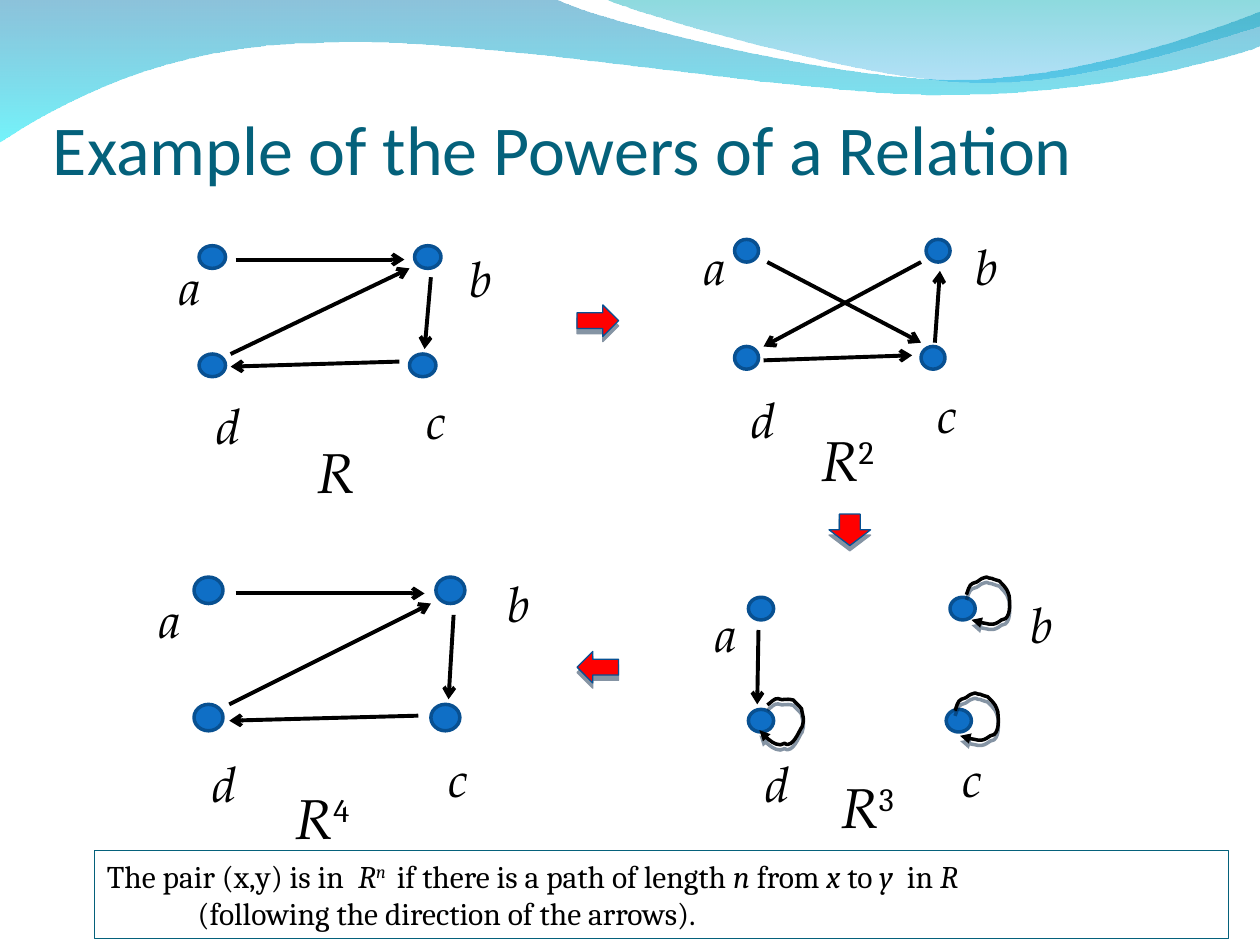
"""Build a slide showing the powers of a relation as four directed graphs."""
from lxml.etree import SubElement
from pptx import Presentation
from pptx.dml.color import RGBColor
from pptx.enum.shapes import MSO_CONNECTOR, MSO_SHAPE
from pptx.enum.text import MSO_ANCHOR
from pptx.oxml.ns import qn
from pptx.util import Pt

PX = 9144
COLORS = {
    "title": "04617B", "ink": "000000", "node": "0F6FC6", "node_edge": "085091",
    "step": "FF0000", "step_edge": "065093", "shadow": "002041",
    "wave_blue": "0079AF", "wave_cyan": "00EBF8", "wave_teal": "00ADB6", "wave_sky": "009BE5",
}
STYLES = {
    "title": ("Calibri", False, {}),
    "symbol": ("TeX Gyre Pagella", True, {}),
    "power": ("Cambria", False, {"baseline": "30000"}),
    "body": ("Cambria", False, {}),
    "gap": ("Cambria", False, {"spc": "400"}),
    "thin_gap": ("Cambria", False, {"spc": "230"}),
    "variable": ("Cambria", True, {}),
    "exponent": ("Cambria", True, {"baseline": "30000"}),
}

prs = Presentation()
prs.slide_width, prs.slide_height = 1000 * PX, 750 * PX
slide = prs.slides.add_slide(prs.slide_layouts[6])
shapes = slide.shapes


def write(lines, bounds, size=28, color="ink", anchor=MSO_ANCHOR.TOP, margins=(10, 5, 10, 5), indents=(0, 0)):
    box = shapes.add_textbox(*(length * PX for length in bounds))
    frame = box.text_frame
    frame.word_wrap = True
    frame.vertical_anchor = anchor
    frame.margin_left, frame.margin_top, frame.margin_right, frame.margin_bottom = (
        margin * PX for margin in margins)
    for number, (line, indent) in enumerate(zip(lines, indents)):
        paragraph = frame.add_paragraph() if number else frame.paragraphs[0]
        if indent:
            paragraph._p.get_or_add_pPr().set("marL", str(indent * PX))
        for text, style in line:
            run = paragraph.add_run()
            run.text = text
            font = run.font
            font.name, font.italic, extras = STYLES[style]
            font.size = Pt(size)
            font.color.rgb = RGBColor.from_string(COLORS[color])
            for key, value in extras.items():
                font._element.set(key, value)
    return box


def outline(start, segments, offset=(0, 0), closed=False):
    points = [start]
    for segment in segments:
        points.extend(zip(segment[::2], segment[1::2]))
    emu = [((x + offset[0]) * PX, (y + offset[1]) * PX) for x, y in points]
    builder = shapes.build_freeform(*emu[0])
    builder.add_line_segments(emu[1:], close=closed)
    freeform = builder.convert_to_shape()
    freeform.shadow.inherit = False
    legs = iter(list(freeform._element.iter(qn("a:lnTo"))))
    for segment in segments:
        leg = next(legs)
        if len(segment) == 6:
            leg.tag = qn("a:cubicBezTo")
            for _ in range(2):
                control = next(legs)
                leg.append(control[0])
                control.getparent().remove(control)
    return freeform


waves = [
    ((0, -1), [(440, -1), (476, 17, 664, 63, 758, 63), (853, 63, 958, 26, 1000, 9), (1001, 36),
               (983, 44, 870, 76, 746, 75), (622, 75, 382, 28, 257, 34), (129, 35, 46, 83, -1, 113)],
     [("wave_blue", 45), ("wave_cyan", 55)]),
    ((479, -1), [(509, 12, 682, 62, 769, 65), (856, 69, 961, 32, 1000, 21), (1000, 0)],
     [("wave_teal", 45), ("wave_sky", 30)]),
]
for start, segments, stops in waves:
    wave = outline(start, segments, closed=True)
    wave.line.fill.background()
    wave.fill.gradient()
    wave.fill.gradient_angle = 270
    for stop, (color, _) in zip(wave.fill.gradient_stops, stops):
        stop.color.rgb = RGBColor.from_string(COLORS[color])
    for tint, (_, opacity) in zip(wave._element.spPr.iter(qn("a:srgbClr")), stops):
        SubElement(tint, qn("a:alpha"), val=str(opacity * 1000))

write([[("Example of the Powers of a Relation", "title")]], (42, 25, 900, 125),
      size=40, color="title", anchor=MSO_ANCHOR.BOTTOM, margins=(0, 5, 0, 0))

graphs = [
    {"power": "", "caption": (242, 342, 21), "node_size": (21, 18),
     "nodes": [(158, 195), (329, 195), (325, 281), (158, 281)],
     "labels": [(133, 199), (363, 192), (329, 305), (162, 309)],
     "edges": [(187, 206, 321, 206), (183, 281, 325, 213), (342, 220, 337, 277), (317, 287, 183, 291)]},
    {"power": "2", "caption": (642, 333, 72), "node_size": (19, 18),
     "nodes": [(583, 190), (735, 190), (731, 275), (583, 275)],
     "labels": [(550, 183), (765, 183), (735, 300), (587, 304)],
     "edges": [(731, 208, 606, 275), (742, 272, 746, 215), (606, 286, 724, 282), (609, 208, 731, 272)]},
    {"power": "3", "caption": (658, 608, 82), "node_size": (20, 18),
     "nodes": [(594, 474), (754, 474), (751, 563), (594, 563)],
     "labels": [(558, 474), (808, 467), (754, 589), (598, 593)],
     "edges": [(602, 500, 601, 559)]},
    {"power": "4", "caption": (225, 617, 112), "node_size": (23, 21),
     "nodes": [(154, 458), (346, 458), (342, 559), (154, 559)],
     "labels": [(117, 463), (393, 450), (346, 589), (159, 593)],
     "edges": [(187, 471, 337, 471), (182, 559, 342, 479), (360, 488, 356, 555), (332, 568, 182, 572)]},
]
for graph in graphs:
    width, height = graph["node_size"]
    for name, (x, y), (label_x, label_y) in zip("abcd", graph["nodes"], graph["labels"]):
        node = shapes.add_shape(MSO_SHAPE.OVAL, x * PX, y * PX, width * PX, height * PX)
        node.shadow.inherit = False
        node.fill.solid()
        node.fill.fore_color.rgb = RGBColor.from_string(COLORS["node"])
        node.line.color.rgb = RGBColor.from_string(COLORS["node_edge"])
        node.line.width = Pt(2)
        write([[(name, "symbol")]], (label_x, label_y, width, 57))
    for ends in graph["edges"]:
        edge = shapes.add_connector(MSO_CONNECTOR.STRAIGHT, *(end * PX for end in ends))
        edge.line.color.rgb = RGBColor.from_string(COLORS["ink"])
        edge.line.width = Pt(2.25)
        properties = edge._element.spPr
        SubElement(properties.find(qn("a:ln")), qn("a:tailEnd"), type="arrow")
        SubElement(properties, qn("a:effectLst"))
    caption = [("R", "symbol")]
    if graph["power"]:
        caption.append((graph["power"], "power"))
    left, top, width = graph["caption"]
    write([caption], (left, top, width, 64), size=32)

shadowed = []
for direction, x, y in [(MSO_SHAPE.RIGHT_ARROW, 458, 242), (MSO_SHAPE.DOWN_ARROW, 658, 408),
                        (MSO_SHAPE.LEFT_ARROW, 458, 517)]:
    step_arrow = shapes.add_shape(direction, x * PX, y * PX, 33 * PX, 25 * PX)
    step_arrow.shadow.inherit = False
    step_arrow.fill.solid()
    step_arrow.fill.fore_color.rgb = RGBColor.from_string(COLORS["step"])
    step_arrow.line.color.rgb = RGBColor.from_string(COLORS["step_edge"])
    step_arrow.line.width = Pt(0.75)
    shadowed.append(step_arrow)

rule = write(
    [[("The pair (x,y) is in", "body"), (" ", "gap"), ("R", "variable"), ("n", "exponent"),
      (" ", "thin_gap"), ("if there is a path of length ", "body"), ("n", "variable"),
      (" from ", "body"), ("x", "variable"), (" to ", "body"), ("y", "variable"),
      (" ", "gap"), ("in ", "body"), ("R", "variable")],
     [("(following the direction of the arrows).", "body")]],
    (75, 675, 900, 70), size=18, indents=(0, 72))
rule.line.color.rgb = RGBColor.from_string(COLORS["title"])
rule.line.width = Pt(0.75)

b_curves = [
    (768, 470, 769, 464, 772, 463), (773, 463, 774, 463, 775, 462), (776, 462, 776, 461, 778, 460),
    (779, 459, 783, 458, 783, 458), (785, 459, 786, 459, 787, 459), (789, 460, 793, 461, 793, 461),
    (796, 464, 799, 467, 800, 470), (801, 473), (801, 475, 803, 487, 798, 491),
    (797, 492, 796, 492, 795, 492), (794, 493, 793, 493, 792, 494), (787, 497, 782, 494, 777, 494),
    (771, 492),
]
d_curves = [
    (608, 561, 610, 556, 613, 556), (614, 556, 615, 556, 616, 556), (617, 555, 618, 555, 619, 555),
    (621, 554, 625, 554, 625, 554), (626, 555, 627, 555, 628, 556), (630, 557, 633, 559, 633, 559),
    (634, 562, 637, 566, 637, 569), (637, 573), (636, 574, 635, 587, 630, 589),
    (629, 590, 628, 589, 627, 589), (626, 590, 625, 590, 624, 591), (619, 592, 614, 589, 609, 587),
    (605, 584),
]
loops = [((767, 472), b_curves, (0, 0), 0), ((767, 472), b_curves, (-9, 92), 0),
         ((606, 563), d_curves, (0, 0), 14.7)]
for start, curves, offset, turn in loops:
    self_loop = outline(start, curves, offset=offset)
    self_loop.rotation = turn
    self_loop.fill.background()
    self_loop.line.color.rgb = RGBColor.from_string(COLORS["ink"])
    self_loop.line.width = Pt(2)
    SubElement(self_loop._element.spPr.find(qn("a:ln")), qn("a:tailEnd"), type="triangle")
    shadowed.append(self_loop)

for item in shadowed:
    effects = item._element.spPr.find(qn("a:effectLst"))
    shadow = SubElement(effects, qn("a:outerShdw"), blurRad="0", dist=str(Pt(3)), dir="5400000", rotWithShape="0")
    shade = SubElement(shadow, qn("a:srgbClr"), val=COLORS["shadow"])
    SubElement(shade, qn("a:alpha"), val="48000")

prs.save("out.pptx")
